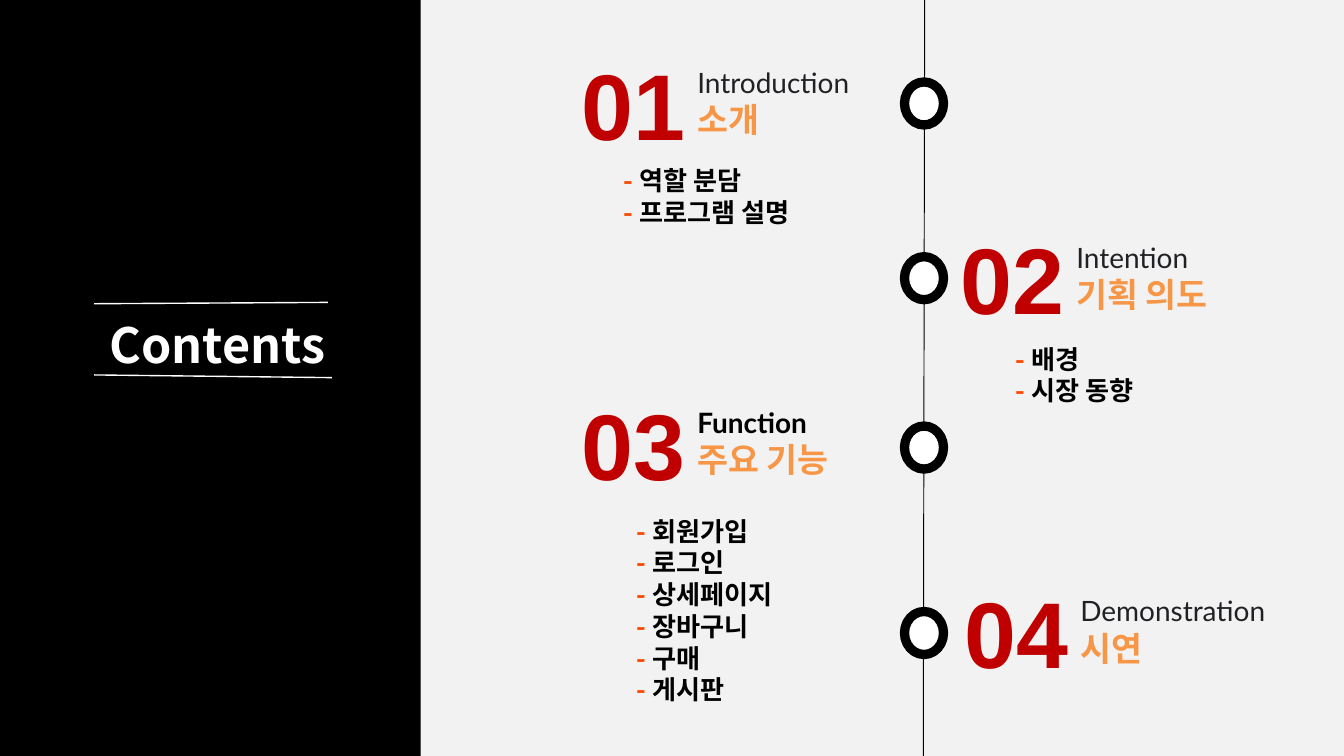
from pptx import Presentation
from pptx.dml.color import RGBColor
from pptx.enum.shapes import MSO_CONNECTOR, MSO_SHAPE
from pptx.enum.text import PP_ALIGN
from pptx.oxml.ns import qn
from pptx.util import Inches, Pt
from lxml.etree import SubElement

BLACK = RGBColor(0x00, 0x00, 0x00)
WHITE = RGBColor(0xFF, 0xFF, 0xFF)
PAPER = RGBColor(0xF2, 0xF2, 0xF2)
INK = RGBColor(0x20, 0x21, 0x24)
RED = RGBColor(0xC0, 0x00, 0x00)
AMBER = RGBColor(0xF7, 0x96, 0x46)
DASH = RGBColor(0xFC, 0x47, 0x00)
LATO, NOTO, ARIAL = "Lato", "Noto Sans CJK KR", "Arial"

prs = Presentation()
prs.slide_width, prs.slide_height = Inches(10), Inches(5.625)
U = prs.slide_width / 100  # square grid: 100 columns by 56.25 rows
ROWS = 56.25
s = prs.slides.add_slide(prs.slide_layouts[6])
s.background.fill.solid()
s.background.fill.fore_color.rgb = PAPER


def grid(*cells):
    return [round(c * U) for c in cells]


def add_text(box, lines, size, font, color, bold=True, spacing=None):
    """Add a text box; each line is a list of (text, color or None) runs."""
    tf = s.shapes.add_textbox(*grid(*box)).text_frame
    tf.word_wrap = True
    for i, line in enumerate(lines):
        p = tf.paragraphs[0] if i == 0 else tf.add_paragraph()
        p.font.size, p.font.name, p.font.bold = Pt(size), font, bold
        p.font.color.rgb = color
        if spacing:
            p.line_spacing = Pt(spacing)
        for text, run_color in line:
            r = p.add_run()
            r.text = text
            r.font.size, r.font.name, r.font.bold = Pt(size), font, bold
            r.font.color.rgb = run_color or color
    return tf


# Left panel with the heading
panel = s.shapes.add_shape(MSO_SHAPE.RECTANGLE, *grid(0, 0, 31.3, ROWS))
panel.shadow.inherit = False
panel.fill.solid()
panel.fill.fore_color.rgb = BLACK
panel.line.fill.background()
heading = add_text((-0.9, 22.7, 34.2, 5.4), [[("Contents", None)]], 26, NOTO, WHITE, spacing=33)
heading.paragraphs[0].alignment = PP_ALIGN.CENTER

# Heading rules and the timeline
for ends, color, width in [
    ((7, 22.6, 24.4, 22.5), WHITE, 0.75),
    ((7, 27.9, 24.7, 28.1), WHITE, 0.75),
    ((68.8, 0, 68.7, ROWS), BLACK, 0.5),
]:
    rule = s.shapes.add_connector(MSO_CONNECTOR.STRAIGHT, *grid(*ends))
    rule.line.color.rgb = color
    rule.line.width = Pt(width)
    SubElement(rule._element.spPr, qn("a:effectLst"))

# Sections: column, row, node row, English title, its color and weight,
# Korean title and font, list column and row, list items
sections = [
    (42.3, 3, 6.1, "Introduction", INK, False, "소개", NOTO,
     45.4, 11.7, ["역할 분담", "프로그램 설명"]),
    (70.5, 16, 19.1, "Intention", INK, False, "기획 의도", LATO,
     74.6, 25, ["배경", "시장 동향"]),
    (42.3, 28.3, 31.7, "Function", BLACK, True, "주요 기능", LATO,
     46.4, 37.8, ["회원가입", "로그인", "상세페이지", "장바구니", "구매", "게시판"]),
    (70.8, 42.3, 45.5, "Demonstration", INK, False, "시연", LATO, 0, 0, []),
]
for n, (x, y, node_y, title, ink, bold, korean, font, list_x, list_y, items) in enumerate(sections, 1):
    node = s.shapes.add_shape(MSO_SHAPE.OVAL, *grid(67.3, node_y, 2.9, 3.2))
    node.shadow.inherit = False
    node.fill.solid()
    node.fill.fore_color.rgb = WHITE
    node.line.color.rgb = BLACK
    node.line.width = Pt(5)

    add_text((x + 8.6, y + 3.9, 14.3, 4), [[(korean, None)]], 18, font, AMBER)
    add_text((x, y, 10.4, 9.4), [[(f"{n:02}", None)]], 50, ARIAL, RED)
    add_text((x + 8.6, y + 1.4, 18.6, 3.5), [[(title, None)]], 15, LATO, ink, bold)
    if items:
        lines = [[("- ", DASH), (item, None)] for item in items]
        add_text((list_x, list_y, 23.3, 3 * len(items)), lines, 14, NOTO, BLACK, spacing=17)

prs.save("out.pptx")
